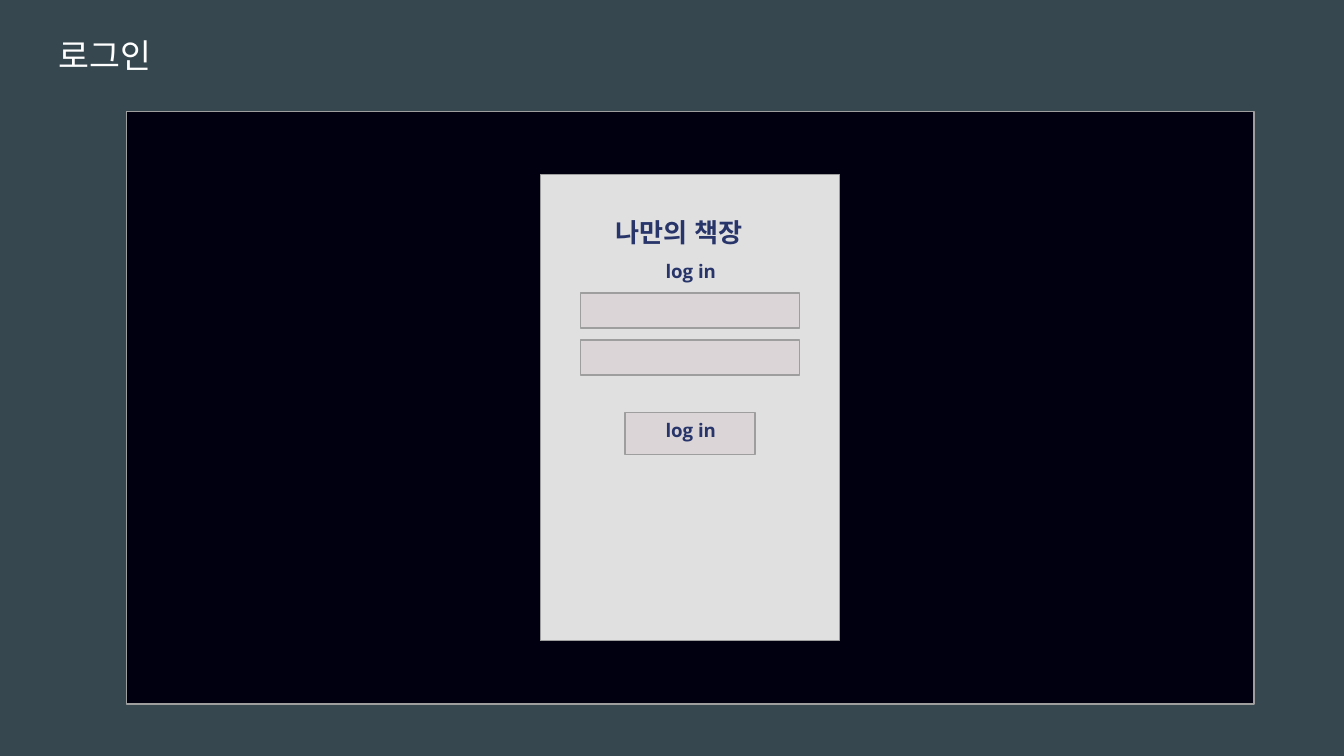
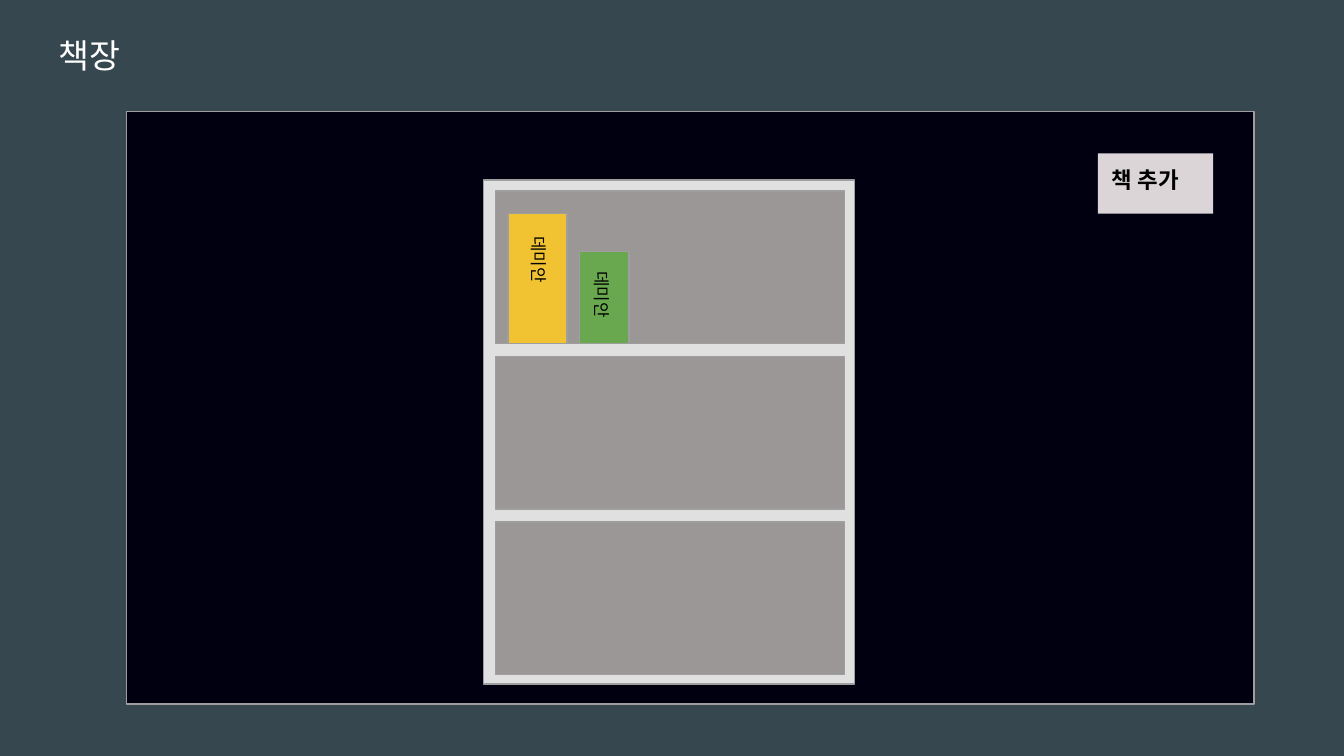
"""Build two wireframe slides: a login screen and a bookshelf screen."""
from pptx import Presentation
from pptx.dml.color import RGBColor
from pptx.enum.shapes import MSO_SHAPE
from pptx.enum.text import MSO_ANCHOR, MSO_AUTO_SIZE, PP_ALIGN
from pptx.oxml.ns import qn
from pptx.util import Cm, Pt

RECTANGLE = MSO_SHAPE.RECTANGLE
TOP = MSO_ANCHOR.TOP
NO_AUTOFIT = MSO_AUTO_SIZE.NONE
LEFT, CENTER = PP_ALIGN.LEFT, PP_ALIGN.CENTER

COLORS = {
    "background": "37474F", "title": "FFFFFF", "screen": "000011",
    "panel": "E0E0E0", "line": "9E9E9E", "control": "DBD5D7",
    "navy": "28356A", "shelf": "9C9797", "black": "000000",
    "yellow": "F1C232", "green": "6AA84F",
}
TITLE_FONT, BODY_FONT = "Arial Narrow", "Open Sans"
INSET = 0.25

TITLE_BOX = (0.86, 0.41, 23.67, 1.6)
SCREEN_BOX = (2.39, 2.11, 21.31, 11.2)

LOGIN_PANEL = (10.21, 3.3, 5.66, 8.81)
LOGIN_TEXTS = [
    ("나만의 책장", 3.84, 14, LEFT),
    ("log in", 4.67, 10, CENTER),
    ("log in", 7.67, 10, CENTER),
]
LOGIN_TEXT_LEFT, LOGIN_TEXT_WIDTH, LOGIN_TEXT_HEIGHT = 11.38, 3.35, 1.04
FIELD_BOX, FIELD_COUNT, FIELD_PITCH = (10.97, 5.54, 4.14, 0.66), 2, 0.89
LOGIN_BUTTON = (11.81, 7.8, 2.46, 0.79)

BOOKCASE = (9.14, 3.4, 7.01, 9.53)
SHELF_BOX, SHELF_COUNT, SHELF_PITCH = (9.36, 3.61, 6.6, 2.88), 3, 3.13
BOOK_BOTTOM = 6.5
BOOKS = [
    {"title": "데미안", "color": "yellow", "left": 9.6, "size": (1.12, 2.46),
     "label_size": (2.16, 0.94), "label_middle": 5.3},
    {"title": "데미안", "color": "green", "left": 10.95, "size": (0.94, 1.75),
     "label_size": (1.55, 0.79), "label_middle": 5.66},
]
ADD_BUTTON = (20.75, 2.9, 2.18, 1.14)


def lengths(box):
    return [Cm(value) for value in box]


def paint(fill, color):
    fill.solid()
    fill.fore_color.rgb = RGBColor.from_string(COLORS[color])


def write(shape, text, size, color, font=BODY_FONT, bold=False, align=LEFT):
    frame = shape.text_frame
    frame.word_wrap = True
    frame.auto_size = NO_AUTOFIT
    frame.vertical_anchor = TOP
    frame.margin_left = frame.margin_right = Cm(INSET)
    frame.margin_top = frame.margin_bottom = Cm(INSET)
    paragraph = frame.paragraphs[0]
    paragraph.alignment = align
    run = paragraph.add_run()
    run.text = text
    run.font.size = Pt(size)
    run.font.bold = bold
    run.font.name = font
    run.font.color.rgb = RGBColor.from_string(COLORS[color])
    latin = run.font._element.find(qn("a:latin"))
    east_asian = latin.makeelement(qn("a:ea"), {"typeface": font})
    latin.addnext(east_asian)


def add_box(slide, box, color, outlined=True):
    shape = slide.shapes.add_shape(RECTANGLE, *lengths(box))
    shape.shadow.inherit = False
    paint(shape.fill, color)
    if outlined:
        paint(shape.line.fill, "line")
        shape.line.width = Pt(0.75)
    else:
        shape.line.fill.background()
    return shape


def add_column(slide, box, color, count, pitch):
    left, top, width, height = box
    for index in range(count):
        add_box(slide, (left, top + index * pitch, width, height), color)


def add_label(slide, box, text, rotation=0, **style):
    label = slide.shapes.add_textbox(*lengths(box))
    label.rotation = rotation
    write(label, text, **style)


def add_screen(presentation, title):
    slide = presentation.slides.add_slide(presentation.slide_layouts[5])
    placeholder = slide.shapes.title
    (placeholder.left, placeholder.top,
     placeholder.width, placeholder.height) = lengths(TITLE_BOX)
    write(placeholder, title, 18, "title", font=TITLE_FONT)
    add_box(slide, SCREEN_BOX, "screen")
    return slide


def build_login(presentation):
    slide = add_screen(presentation, "로그인")
    add_box(slide, LOGIN_PANEL, "panel")
    add_column(slide, FIELD_BOX, "control", FIELD_COUNT, FIELD_PITCH)
    add_box(slide, LOGIN_BUTTON, "control")
    for text, top, size, align in LOGIN_TEXTS:
        box = (LOGIN_TEXT_LEFT, top, LOGIN_TEXT_WIDTH, LOGIN_TEXT_HEIGHT)
        add_label(slide, box, text, size=size, color="navy", bold=True, align=align)


def add_book(slide, book):
    width, height = book["size"]
    add_box(slide, (book["left"], BOOK_BOTTOM - height, width, height), book["color"])
    label_width, label_height = book["label_size"]
    label_left = book["left"] + (width - label_width) / 2
    label_top = book["label_middle"] - label_height / 2
    add_label(slide, (label_left, label_top, label_width, label_height),
              book["title"], rotation=90, size=9, color="black")


def build_bookshelf(presentation):
    slide = add_screen(presentation, "책장")
    add_box(slide, BOOKCASE, "panel")
    add_column(slide, SHELF_BOX, "shelf", SHELF_COUNT, SHELF_PITCH)
    for book in BOOKS:
        add_book(slide, book)
    button = add_box(slide, ADD_BUTTON, "control", outlined=False)
    write(button, "책 추가", 12, "black", bold=True)


def main():
    presentation = Presentation()
    presentation.slide_width, presentation.slide_height = Cm(25.4), Cm(14.29)
    paint(presentation.slide_master.background.fill, "background")
    build_login(presentation)
    build_bookshelf(presentation)
    presentation.save("out.pptx")


if __name__ == "__main__":
    main()
